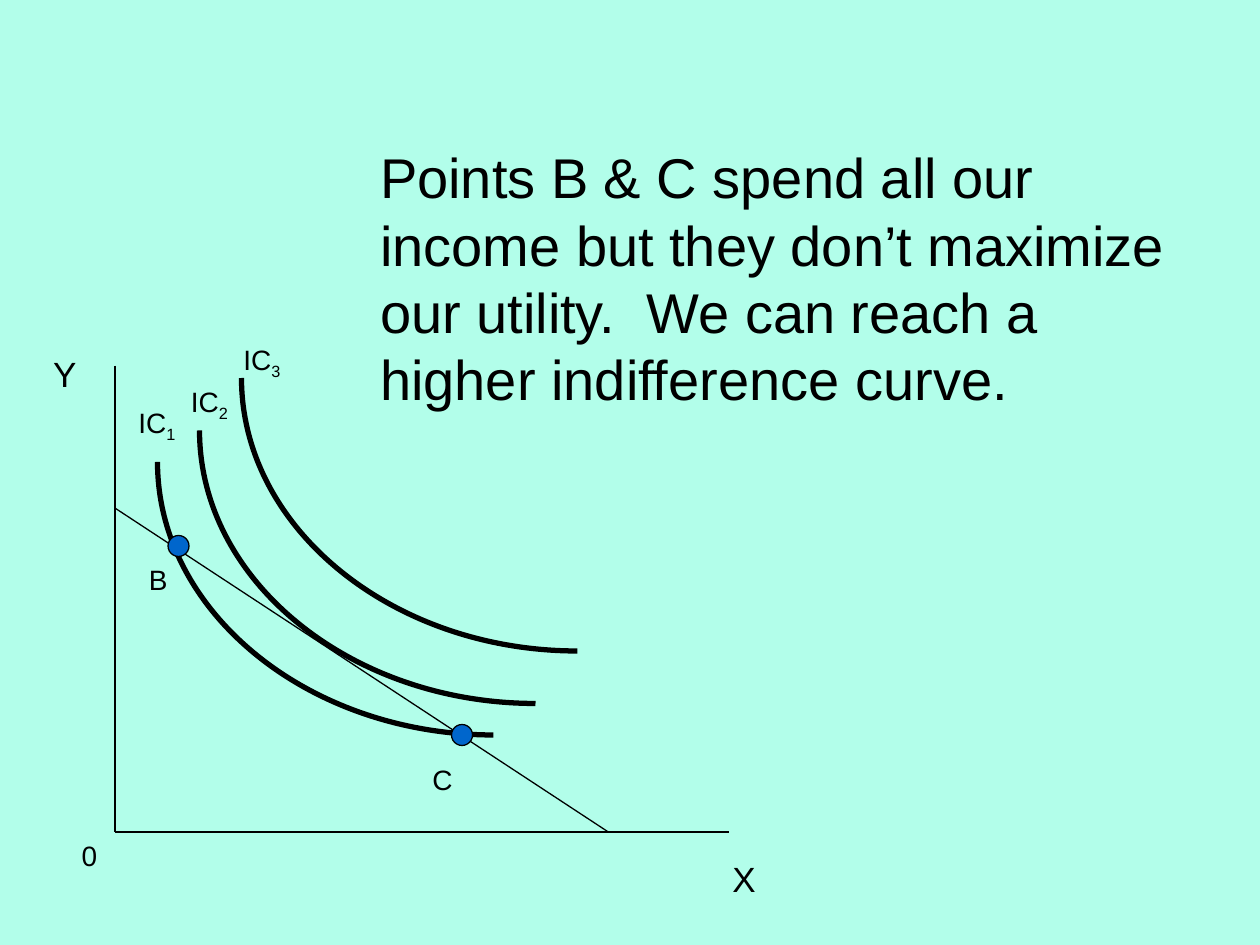
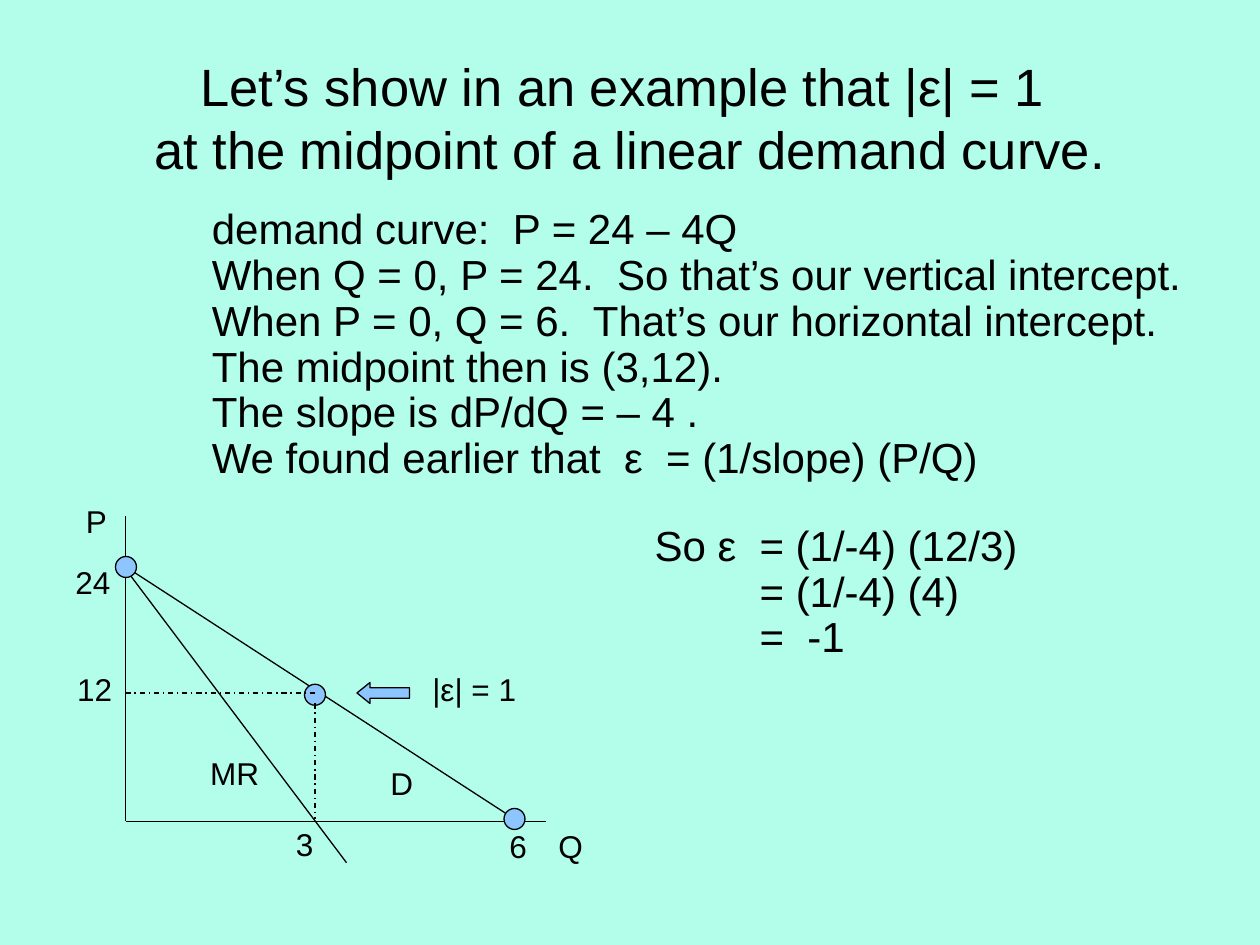
from lxml import etree
from pptx import Presentation
from pptx.dml.color import RGBColor
from pptx.enum import dml, shapes, text
from pptx.oxml import ns
from pptx.util import Pt

FONT = "Arial"
HUES = {"mint": "B2FEEA", "ink": "000000", "blue": "0066CC", "sky": "8DC6FF"}
DOT = 12          # diameter of a marked point
THIN, BOLD = 0.75, 3
BEND = 0.55       # pull of the handles that round a quarter ellipse

# Slide 1: indifference curves
NOTE = ("Points B & C spend all our income but they don’t maximize our utility.  "
        "We can reach a higher indifference curve.")
IC_LINES = [(65.8, 209, 65.8, 475.4), (65.8, 475.4, 416.7, 475.4),
            (65.8, 290.4, 347.6, 475.4)]
IC_SPAN = (192, 156)
CURVES = [(114, 246), (90, 264), (138, 216)]      # upper left end of each
IC_DOTS = [(258, 414), (96, 306)]
IC_TAGS = [("X", 411.4, 486.7, 27, 20), ("Y", 23.3, 198, 27, 20),
           ("0", 39.5, 475.4, 27, 16), ("B", 78, 318, 30, 16), ("C", 240, 432, 30, 16)]
IC_NAMES = [("1", 72, 228), ("2", 102, 216), ("3", 132, 192)]

# Slide 2: linear demand
TITLE = ["Let’s show in an example that |ε| = 1 ",
         "at the midpoint of a linear demand curve."]
STEPS = [  # text, left indent, space before
    ("demand curve:  P = 24 – 4Q", 0, 0),
    ("When Q = 0, P = 24.  So that’s our vertical intercept.", 0, 6),
    ("When P = 0, Q = 6.  That’s our horizontal intercept.", 0, 6),
    ("The midpoint then is (3,12).", 0, 6),
    ("The slope is dP/dQ = – 4 .", 0, 6),
    ("We found earlier that  ε  = (1/slope) (P/Q)", 0, 6),
    ("So ε  = (1/-4) (12/3)", 253, 30),
    ("= (1/-4) (4)", 313, 6),
    ("=  -1", 313, 6),
]
D_LINES = [(71.9, 295, 71.9, 469.3), (71.9, 469.3, 312, 469.3),
           (72, 324, 294, 468), (72, 325.5, 198, 493)]
D_DASHES = [(180, 396, 72, 396), (180, 402, 180, 468)]
D_MID = [(174, 391)]
D_ENDS = [(66, 318), (288, 462)]
D_TAGS = [("P", 42, 283.3, 30), ("Q", 312, 469.2, 30), ("D", 216, 433.2, 30),
          ("MR", 113, 427.2, 49), ("24", 36, 318, 42), ("12", 37, 379.5, 42),
          ("3", 162, 468, 25), ("6", 284, 469.2, 30), ("|ε| = 1", 240, 379.5, 66)]


def hue(name):
    return RGBColor.from_string(HUES[name])


def add_run(para, words, size, sub=False):
    run = para.add_run()
    run.text = words
    run.font.name, run.font.size = FONT, Pt(size)
    run.font.color.rgb = hue("ink")
    if sub:
        run.font._rPr.set("baseline", "-25000")


def indent(para, left=0):
    props = para._p.get_or_add_pPr()
    props.set("marL", str(Pt(left)))
    props.set("indent", "0")
    etree.SubElement(props, ns.qn("a:buNone"))


def place(shape, x, y, w, h):
    shape.left, shape.top, shape.width, shape.height = map(Pt, (x, y, w, h))


def add_box(slide, x, y, w, h):
    frame = slide.shapes.add_textbox(*map(Pt, (x, y, w, h))).text_frame
    frame.word_wrap = True
    return frame


def add_tag(slide, words, x, y, w, size, sub=""):
    para = add_box(slide, x, y, w, size * 1.2 + 7.2).paragraphs[0]
    add_run(para, words, size)
    if sub:
        add_run(para, sub, size, True)


def ink_line(shape, width):
    shape.line.color.rgb = hue("ink")
    shape.line.width = Pt(width)


def add_lines(slide, ends, dash=None):
    for end in ends:
        line = slide.shapes.add_connector(shapes.MSO_CONNECTOR.STRAIGHT, *map(Pt, end))
        ink_line(line, THIN)
        if dash:
            line.line.dash_style = dash
        etree.SubElement(line._element.spPr, ns.qn("a:effectLst"))


def add_mark(slide, kind, x, y, w, h, fill):
    mark = slide.shapes.add_shape(kind, *map(Pt, (x, y, w, h)))
    mark.shadow.inherit = False
    mark.fill.solid()
    mark.fill.fore_color.rgb = hue(fill)
    ink_line(mark, THIN)
    return mark


def add_dots(slide, spots, fill):
    for x, y in spots:
        add_mark(slide, shapes.MSO_SHAPE.OVAL, x, y, DOT, DOT, fill)


def add_curve(slide, x, y):
    """Quarter ellipse from the upper left end down to the lower right."""
    wide, high = IC_SPAN
    path = slide.shapes.build_freeform(Pt(x), Pt(y), scale=1.0)
    path.add_line_segments([(Pt(x + wide), Pt(y + high))], close=False)
    curve = path.convert_to_shape()
    # Swap the straight segment for a Bezier one
    step = curve._element.find(".//" + ns.qn("a:lnTo"))
    bend = etree.Element(ns.qn("a:cubicBezTo"))
    for dx, dy in [(0, high * BEND), (wide * (1 - BEND), high), (wide, high)]:
        etree.SubElement(bend, ns.qn("a:pt"), x=str(Pt(dx)), y=str(Pt(dy)))
    step.getparent().replace(step, bend)
    curve.shadow.inherit = False
    curve.fill.background()
    ink_line(curve, BOLD)


def curve_slide(deck):
    slide = deck.slides.add_slide(deck.slide_layouts[1])
    head = slide.shapes.title._element
    head.getparent().remove(head)
    body = slide.placeholders[1]
    place(body, 210, 78, 486, 210)
    body.text_frame.auto_size = text.MSO_AUTO_SIZE.NONE
    para = body.text_frame.paragraphs[0]
    indent(para)
    para.space_before = Pt(0)
    add_run(para, NOTE, 32)

    # Graph
    add_lines(slide, IC_LINES)
    for x, y in CURVES:
        add_curve(slide, x, y)
    add_dots(slide, IC_DOTS, "blue")
    for tag in IC_TAGS:
        add_tag(slide, *tag)
    for sub, x, y in IC_NAMES:
        add_tag(slide, "IC", x, y, 48, 16, sub)


def demand_slide(deck):
    slide = deck.slides.add_slide(deck.slide_layouts[5])
    head = slide.shapes.title
    place(head, 36, 22, 648, 90)
    frame = head.text_frame
    frame.auto_size = text.MSO_AUTO_SIZE.NONE
    frame.vertical_anchor = text.MSO_ANCHOR.MIDDLE
    para = frame.paragraphs[0]
    para.alignment = text.PP_ALIGN.CENTER
    add_run(para, TITLE[0], 30)
    para.add_line_break()
    add_run(para, TITLE[1], 30)

    # Graph
    add_lines(slide, D_LINES)
    add_dots(slide, D_MID, "sky")
    add_lines(slide, D_DASHES, dml.MSO_LINE.DASH_DOT)
    add_dots(slide, D_ENDS, "sky")
    arrow = add_mark(slide, shapes.MSO_SHAPE.LEFT_ARROW, 204, 390, 30, 12, "sky")
    arrow.adjustments[0], arrow.adjustments[1] = 0.5, 0.62
    for tag in D_TAGS:
        add_tag(slide, *tag, 18)

    # Worked steps
    frame = add_box(slide, 114, 120.2, 570, 282)
    for i, (words, left, gap) in enumerate(STEPS):
        para = frame.add_paragraph() if i else frame.paragraphs[0]
        indent(para, left)
        para.line_spacing = 0.7
        para.space_before = Pt(gap)
        add_run(para, words, 24)


def main():
    deck = Presentation()
    deck.slide_width, deck.slide_height = Pt(720), Pt(540)
    back = deck.slide_master.background.fill
    back.solid()
    back.fore_color.rgb = hue("mint")
    curve_slide(deck)
    demand_slide(deck)
    deck.save("out.pptx")


if __name__ == "__main__":
    main()
